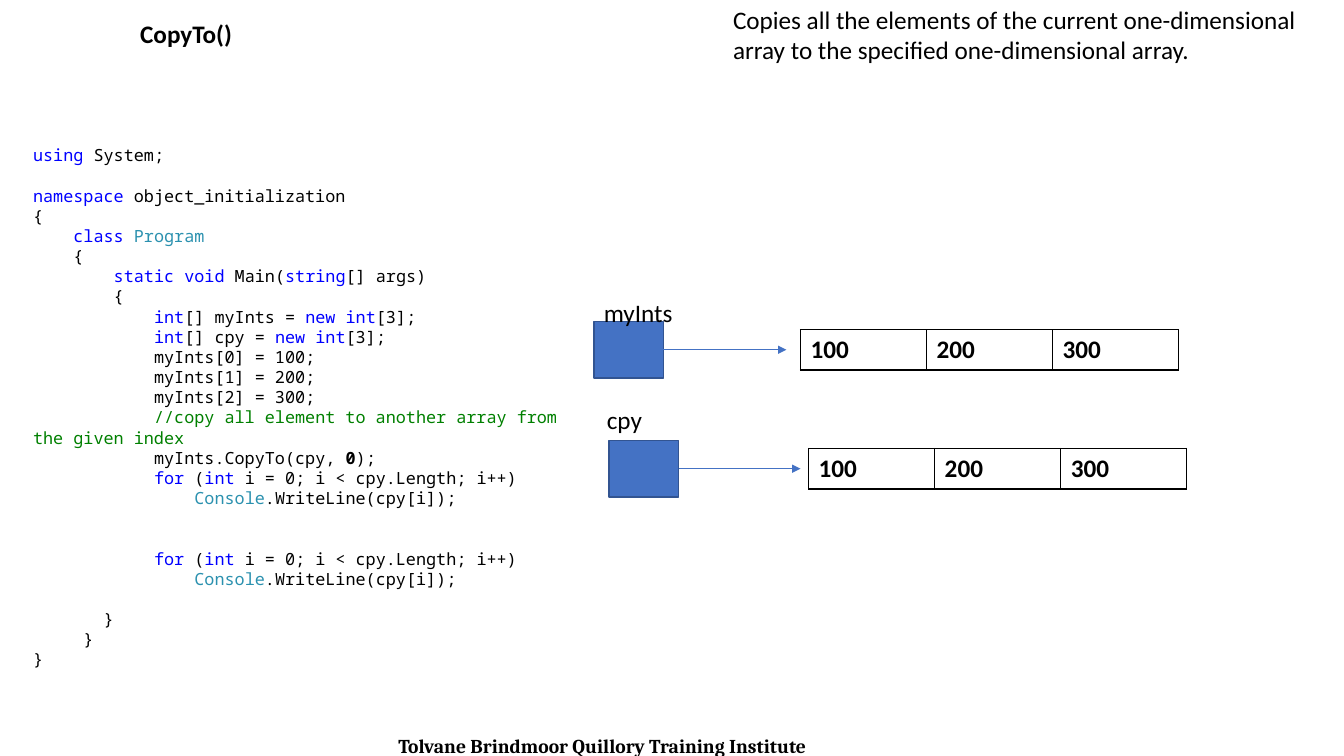
from dataclasses import dataclass

from lxml.etree import SubElement
from pptx import Presentation
from pptx.dml.color import RGBColor
from pptx.enum.shapes import MSO_CONNECTOR as Connector, MSO_SHAPE as Shape
from pptx.enum.text import MSO_ANCHOR as Anchor, PP_ALIGN as Align
from pptx.oxml import parse_xml
from pptx.oxml.ns import nsdecls, qn
from pptx.util import Inches, Length, Pt

BLACK, WHITE = "000000", "FFFFFF"
BLUE, DARK_BLUE = "4472C4", "325491"
KEYWORD, TYPE, COMMENT = "0000FF", "2B91AF", "008000"
CHARACTER_WIDTH = 0.1  # inches, 12 pt monospaced
LINE_HEIGHT = 14.4  # points


@dataclass
class Run:
    text: str
    color: str = BLACK
    bold: bool = False
    size: int = 18
    font: str = "Calibri"


@dataclass
class CodeLine:
    indent: int
    tokens: list[tuple]
    blank_before: int = 0


@dataclass
class ArrayRow:
    name: str
    label_left: float
    label_top: float
    box_left: float
    box_top: float
    arrow_end: float
    table_left: float
    table_top: float


def rgb(color: str) -> RGBColor:
    return RGBColor.from_string(color)


def add_run(paragraph, run: Run) -> None:
    text_run = paragraph.add_run()
    text_run.text = run.text
    font = text_run.font
    font.name, font.size, font.bold = run.font, Pt(run.size), run.bold
    font.color.rgb = rgb(run.color)


def add_text_box(slide, left: float, top: float, width: float, height: float):
    box = slide.shapes.add_textbox(*map(Inches, (left, top, width, height)))
    box.text_frame.word_wrap = True
    return box.text_frame


def add_border(cell) -> None:
    properties = cell._tc.get_or_add_tcPr()
    for index, side in enumerate(("lnL", "lnR", "lnT", "lnB")):
        properties.insert(index, parse_xml(
            f'<a:{side} {nsdecls("a")} w="{Pt(1)}"><a:solidFill>'
            f'<a:srgbClr val="{BLACK}"/></a:solidFill></a:{side}>'))


def add_row_table(slide, left: float, top: float, column_width: float,
                  height: float, runs: list[Run], bordered: bool) -> None:
    frame = slide.shapes.add_table(
        1, len(runs), Inches(left), Inches(top),
        Inches(column_width * len(runs)), Inches(height))
    table = frame.table
    table.first_row = table.horz_banding = False
    for cell, run in zip(table.rows[0].cells, runs):
        add_run(cell.text_frame.paragraphs[0], run)
        if bordered:
            cell.fill.solid()
            cell.fill.fore_color.rgb = rgb(WHITE)
            add_border(cell)
        else:
            cell.fill.background()
            cell.vertical_anchor = Anchor.MIDDLE


def add_arrow(slide, start: float, end: float, y: float) -> None:
    arrow = slide.shapes.add_connector(
        Connector.STRAIGHT, Inches(start), Inches(y), Inches(end), Inches(y))
    arrow.line.color.rgb = rgb(BLUE)
    arrow.line.width = Pt(0.5)
    SubElement(arrow.line._get_or_add_ln(), qn("a:tailEnd"), type="triangle")
    SubElement(arrow._element.spPr, qn("a:effectLst"))


def add_array(slide, row: ArrayRow) -> None:
    width, height = 0.69, 0.56
    box = slide.shapes.add_shape(
        Shape.RECTANGLE, *map(Inches, (row.box_left, row.box_top, width, height)))
    box.shadow.inherit = False
    box.fill.solid()
    box.fill.fore_color.rgb = rgb(BLUE)
    box.line.color.rgb = rgb(DARK_BLUE)
    box.line.width = Pt(1)
    add_arrow(slide, row.box_left + width, row.arrow_end, row.box_top + height / 2)
    values = [Run(str(value), bold=True) for value in (100, 200, 300)]
    add_row_table(slide, row.table_left, row.table_top, 1.25, 0.4, values, True)
    label = add_text_box(slide, row.label_left, row.label_top, 0.97, 0.4)
    add_run(label.paragraphs[0], Run(row.name))


def add_code(slide, lines: list[CodeLine]) -> None:
    frame = add_text_box(slide, 0.23, 1.39, 5.66, 5.35)
    for number, line in enumerate(lines):
        paragraph = frame.add_paragraph() if number else frame.paragraphs[0]
        first_line_indent: Length = Inches(line.indent * CHARACTER_WIDTH)
        properties = paragraph._p.get_or_add_pPr()
        properties.set("marL", "0")
        properties.set("indent", str(first_line_indent))
        paragraph.space_before = Pt(line.blank_before * LINE_HEIGHT)
        for token in line.tokens:
            add_run(paragraph, Run(*token, size=12, font="Noto Sans Mono"))


def declaration(name: str) -> CodeLine:
    return CodeLine(12, [("int", KEYWORD), (f"[] {name} = ",), ("new", KEYWORD),
                         (" ",), ("int", KEYWORD), ("[3];",)])


def print_loop(blank_before: int = 0) -> list[CodeLine]:
    return [
        CodeLine(12, [("for", KEYWORD), (" (",), ("int", KEYWORD),
                      (" i = 0; i < cpy.Length; i++)",)], blank_before),
        CodeLine(16, [("Console", TYPE), (".WriteLine(cpy[i]);",)]),
    ]


CODE = [
    CodeLine(0, [("using", KEYWORD), (" System;",)]),
    CodeLine(0, [("namespace", KEYWORD), (" object_initialization",)], 1),
    CodeLine(0, [("{",)]),
    CodeLine(4, [("class", KEYWORD), (" ",), ("Program", TYPE)]),
    CodeLine(4, [("{",)]),
    CodeLine(8, [("static", KEYWORD), (" ",), ("void", KEYWORD), (" Main(",),
                 ("string", KEYWORD), ("[] args)",)]),
    CodeLine(8, [("{",)]),
    declaration("myInts"),
    declaration("cpy"),
    *[CodeLine(12, [(f"myInts[{i}] = {100 * (i + 1)};",)]) for i in range(3)],
    CodeLine(12, [("//copy all element to another array from the given index", COMMENT)]),
    CodeLine(12, [("myInts.CopyTo(cpy, ",), ("0", BLACK, True), (");",)]),
    *print_loop(),
    *print_loop(blank_before=2),
    CodeLine(7, [("}",)], 1),
    CodeLine(5, [("}",)]),
    CodeLine(0, [("}",)]),
]

ARRAYS = [
    ArrayRow("myInts", 5.89, 2.9, 5.89, 3.19, 7.8, 7.94, 3.27),
    ArrayRow("cpy", 5.92, 3.96, 6.04, 4.37, 7.94, 8.02, 4.45),
]

presentation = Presentation()
presentation.slide_width, presentation.slide_height = Inches(13.33), Inches(7.5)
slide = presentation.slides.add_slide(presentation.slide_layouts[6])

# Footer
footer = add_text_box(slide, 1.32, 7.23, 9.31, 0.34).paragraphs[0]
footer.alignment = Align.CENTER
add_run(footer, Run("Tolvane Brindmoor Quillory Training Institute",
                    bold=True, size=14, font="Cambria"))

# Method name and description
add_row_table(slide, 1.29, 0, 5.88, 0.7, [
    Run("CopyTo()", bold=True),
    Run("Copies all the elements of the current one-dimensional array "
        "to the specified one-dimensional array."),
], False)

# Code listing
add_code(slide, CODE)

# Array references and their contents
for array in ARRAYS:
    add_array(slide, array)

presentation.save("out.pptx")
